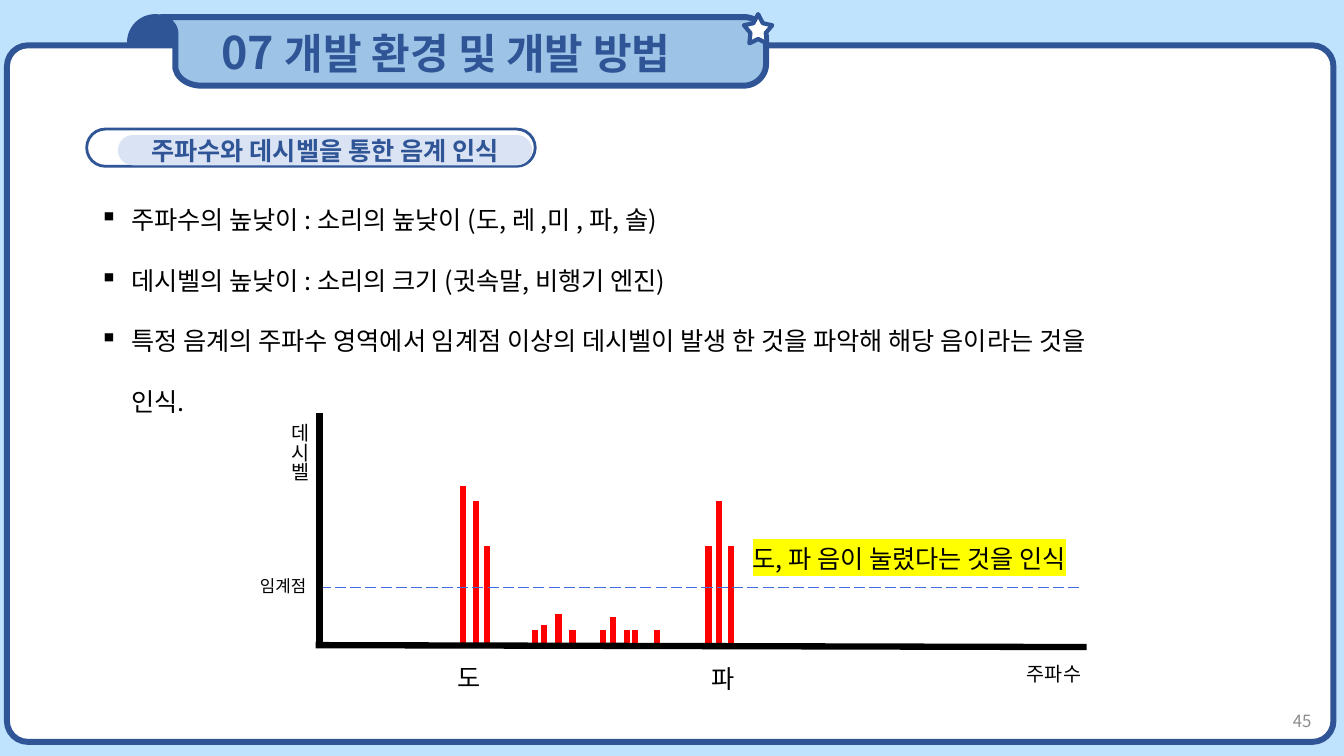
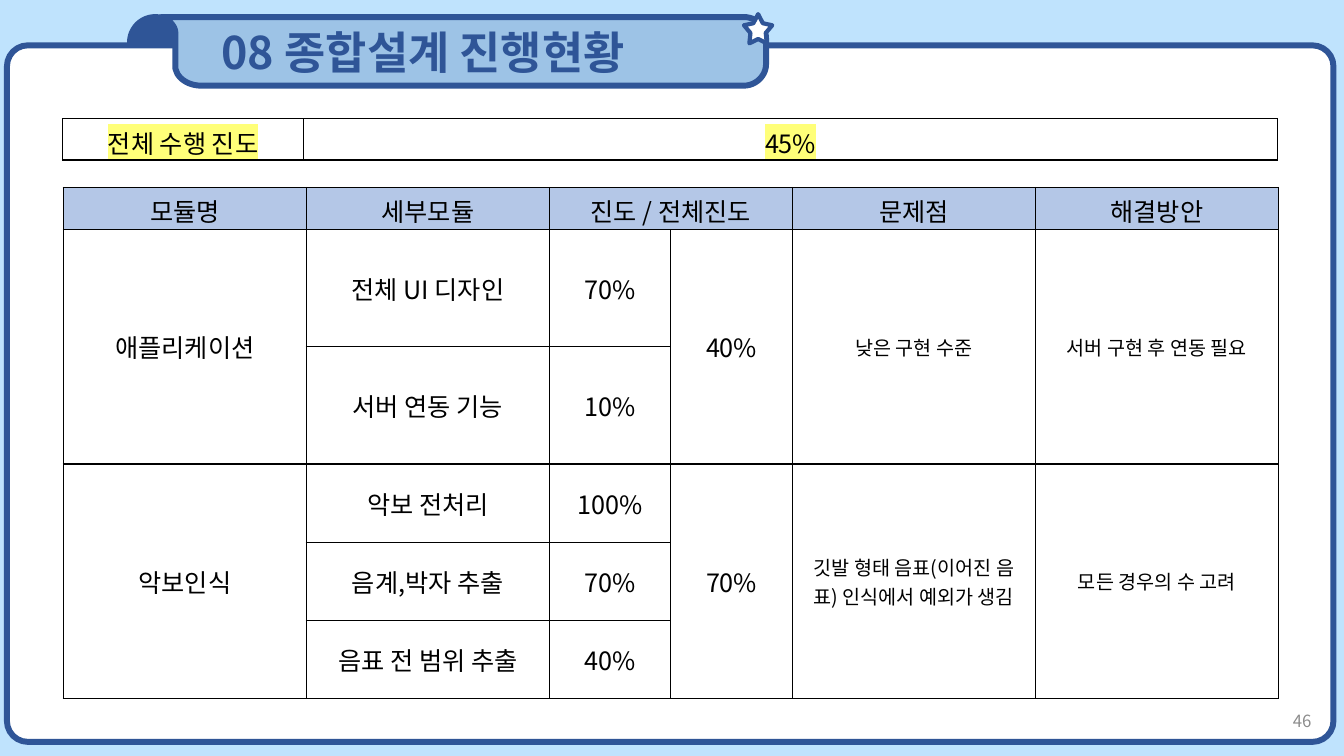
from dataclasses import dataclass
from typing import NamedTuple

from lxml.etree import SubElement
from pptx import Presentation
from pptx.dml.color import RGBColor
from pptx.enum.dml import MSO_LINE_DASH_STYLE as Dash
from pptx.enum.shapes import MSO_CONNECTOR as Connector, MSO_SHAPE as Preset
from pptx.enum.text import MSO_ANCHOR as Anchor, MSO_AUTO_SIZE as AutoSize, PP_ALIGN as Align
from pptx.oxml.ns import qn
from pptx.util import Pt

FONT = "Noto Sans CJK KR"
SKY, NAVY, RIBBON, PALE, HEADER = "BFE3FD", "2F5597", "9DC3E6", "DAE3F3", "B4C7E7"
WHITE, BLACK, RED, BLUE, GREY = "FFFFFF", "000000", "FF0000", "406AE2", "8C8C8C"
YELLOW, SOFT_YELLOW = "FFFF00", "FFFF79"
FRAME_LINE = 4.25
BAR_WIDTH = 4.5
BASELINE = 459.4


class Box(NamedTuple):
    left: float
    top: float
    width: float
    height: float


class Bar(NamedTuple):
    x: float
    height: float


class Merge(NamedTuple):
    row: int
    column: int
    last_row: int
    last_column: int


@dataclass(frozen=True)
class Style:
    size: float = 18
    color: str = BLACK
    bold: bool = False
    highlight: str = ""


@dataclass(frozen=True)
class Label:
    text: str
    box: Box
    style: Style = Style()
    vertical: bool = False


BODY = Style()
SMALL = Style(14)
HEADING = Style(32, NAVY, True)

BULLETS = (
    "주파수의 높낮이 : 소리의 높낮이 (도, 레 ,미 , 파, 솔)",
    "데시벨의 높낮이 : 소리의 크기 (귓속말, 비행기 엔진)",
    "특정 음계의 주파수 영역에서 임계점 이상의 데시벨이 발생 한 것을 파악해 해당 음이라는 것을 인식.",
)
SPECTRUM = (
    Bar(330.5, 112.3), Bar(339.8, 101.5), Bar(347.8, 69.1),
    Bar(382.3, 9.4), Bar(388.8, 13), Bar(398.9, 20.9), Bar(409, 9.4),
    Bar(430.6, 9.4), Bar(437.8, 18.7), Bar(447.8, 9.4), Bar(453.6, 9.4), Bar(469.4, 9.4),
    Bar(506.2, 69.1), Bar(513.4, 101.5), Bar(522, 69.1),
)
GRAPH_LABELS = (
    Label("주파수", Box(726.5, 469.4, 90.7, 24.5), SMALL),
    Label("데시벨", Box(194.4, 295.2, 31.7, 83.5), SMALL, vertical=True),
    Label("도", Box(319.7, 469.4, 56.2, 28.8)),
    Label("파", Box(501.1, 470.2, 56.2, 28.8)),
    Label("임계점", Box(178.6, 407.5, 62.6, 21.6), Style(12)),
    Label("도, 파 음이 눌렸다는 것을 인식", Box(530.6, 384.5, 282.2, 28.8),
          Style(highlight=YELLOW)),
)
PROGRESS = (
    ("모듈명", "세부모듈", "진도 / 전체진도", "", "문제점", "해결방안"),
    ("애플리케이션", "전체 UI 디자인", "70%", "40%", "낮은 구현 수준", "서버 구현 후 연동 필요"),
    ("", "서버 연동 기능", "10%", "", "", ""),
    ("악보인식", "악보 전처리", "100%", "70%",
     "깃발 형태 음표(이어진 음표) 인식에서 예외가 생김", "모든 경우의 수 고려"),
    ("", "음계,박자 추출", "70%", "", "", ""),
    ("", "음표 전 범위 추출", "40%", "", "", ""),
)
MODULE_ROWS = ((1, 2), (3, 5))
MERGES = [Merge(0, 2, 0, 3)] + [
    Merge(first, column, last, column) for first, last in MODULE_ROWS for column in (0, 3, 4, 5)
]


def rgb(color: str) -> RGBColor:
    return RGBColor.from_string(color)


def apply(target, formats: dict) -> None:
    for attribute, value in formats.items():
        setattr(target, attribute, value)


def write(paragraph, text: str, style: Style) -> None:
    """Append a run with the same font for Latin and Korean letters."""
    run = paragraph.add_run()
    run.text = text
    apply(run.font, {"size": Pt(style.size), "bold": style.bold, "name": FONT})
    run.font.color.rgb = rgb(style.color)
    properties = run.font._element
    latin = properties.find(qn("a:latin"))
    east_asian = SubElement(properties, qn("a:ea"), typeface=FONT)
    latin.addnext(east_asian)
    if style.highlight:
        highlight = SubElement(properties, qn("a:highlight"))
        SubElement(highlight, qn("a:srgbClr"), val=style.highlight)
        latin.addprevious(highlight)


def indent(paragraph, margin: float, first_line: float = 0) -> None:
    properties = paragraph._p.get_or_add_pPr()
    properties.set("marL", str(Pt(margin)))
    properties.set("indent", str(Pt(first_line)))


def paint(shape, fill: str, line: str = "", width: float = 0) -> None:
    shape.shadow.inherit = False
    shape.fill.solid()
    shape.fill.fore_color.rgb = rgb(fill)
    if line:
        shape.line.color.rgb = rgb(line)
        shape.line.width = Pt(width)
    else:
        shape.line.fill.background()


def add_preset(slide, preset, box: Box, fill: str, line: str = "", width: float = 0,
               adjustments: tuple = ()):
    shape = slide.shapes.add_shape(preset, *map(Pt, box))
    for index, value in enumerate(adjustments):
        shape.adjustments[index] = value
    paint(shape, fill, line, width)
    return shape


def add_line(slide, start: tuple, end: tuple, color: str, width: float):
    line = slide.shapes.add_connector(Connector.STRAIGHT, *map(Pt, (*start, *end)))
    line.line.color.rgb = rgb(color)
    line.line.width = Pt(width)
    SubElement(line._element.spPr, qn("a:effectLst"))
    return line


def add_text_frame(slide, box: Box, **formats):
    frame = slide.shapes.add_textbox(*map(Pt, box)).text_frame
    apply(frame, {"word_wrap": True, **formats})
    return frame


def add_label(slide, label: Label) -> None:
    frame = add_text_frame(slide, label.box, auto_size=AutoSize.SHAPE_TO_FIT_TEXT)
    if label.vertical:
        frame._txBody.bodyPr.set("vert", "eaVert")
    write(frame.paragraphs[0], label.text, label.style)


def curve(start: tuple, control1: tuple, control2: tuple, end: tuple, steps: int = 12) -> list:
    """Points along a cubic curve."""
    points = []
    for step in range(steps + 1):
        t = step / steps
        weights = ((1 - t) ** 3, 3 * t * (1 - t) ** 2, 3 * t ** 2 * (1 - t), t ** 3)
        points.append(tuple(
            sum(weight * value for weight, value in zip(weights, axis))
            for axis in zip(start, control1, control2, end)
        ))
    return points


def add_ribbon(slide):
    left, top, right, bottom = 115.2, 12.2, 547.2, 61.2
    outline = [
        *curve((531.4, top), (540, top), (right, 18.7), (right, 27.4)),
        *curve((right, 46.1), (right, 54), (540, bottom), (531.4, bottom)),
        *curve((144, bottom), (136, bottom), (129.6, 57.6), (126.7, 52.6)),
        (125.3, 49),
        *curve((125.3, 23.8), (125.3, 19.4), (122.4, 15.8), (118.1, 13.7)),
        (left, 13),
    ]
    builder = slide.shapes.build_freeform(Pt(left), Pt(top))
    builder.add_line_segments([(Pt(x), Pt(y)) for x, y in outline], close=True)
    ribbon = builder.convert_to_shape()
    paint(ribbon, RIBBON, NAVY, FRAME_LINE)
    return ribbon


def add_framed_slide(deck, number: int, title: tuple):
    """A slide with the sky background, page frame, title ribbon and page number."""
    slide = deck.slides.add_slide(deck.slide_layouts[6])
    slide.background.fill.solid()
    slide.background.fill.fore_color.rgb = rgb(SKY)
    add_preset(slide, Preset.ROUND_2_SAME_RECTANGLE, Box(92.9, 12.2, 36, 70.6),
               NAVY, NAVY, FRAME_LINE, (0.5, 0))
    add_preset(slide, Preset.ROUNDED_RECTANGLE, Box(5, 32.4, 947.5, 497.5),
               WHITE, NAVY, FRAME_LINE, (0.03,))
    frame = add_ribbon(slide).text_frame
    apply(frame, {"vertical_anchor": Anchor.MIDDLE, "word_wrap": True})
    heading = frame.paragraphs[0]
    heading.alignment = Align.LEFT
    indent(heading, 36)
    for text, style in title:
        write(heading, text, style)
    add_preset(slide, Preset.STAR_5_POINT, Box(531.4, 10.1, 20.2, 20.9), WHITE, NAVY, 3, (0.27,))

    footer = add_text_frame(slide, Box(727.9, 500.4, 216, 28.8), vertical_anchor=Anchor.MIDDLE)
    footer.paragraphs[0].alignment = Align.RIGHT
    write(footer.paragraphs[0], str(number), Style(12, GREY))
    return slide


def add_section_pill(slide, text: str) -> None:
    add_preset(slide, Preset.ROUNDED_RECTANGLE, Box(61.9, 92.2, 320.4, 26.6), WHITE, NAVY, 2, (0.5,))
    pill = add_preset(slide, Preset.ROUNDED_RECTANGLE, Box(84.2, 96.5, 295.9, 21.6), PALE,
                      adjustments=(0.5,))
    pill.text_frame.vertical_anchor = Anchor.MIDDLE
    pill.text_frame.paragraphs[0].alignment = Align.CENTER
    write(pill.text_frame.paragraphs[0], text, Style(18, NAVY, True))


def add_bullets(slide, box: Box, lines: tuple) -> None:
    frame = add_text_frame(slide, box, auto_size=AutoSize.SHAPE_TO_FIT_TEXT)
    for index, text in enumerate(lines):
        paragraph = frame.add_paragraph() if index else frame.paragraphs[0]
        paragraph.line_spacing = 2.0
        indent(paragraph, 22.5, -22.5)
        SubElement(paragraph._p.pPr, qn("a:buChar"), char="▪")
        write(paragraph, text, BODY)


def add_spectrum(slide) -> None:
    for bar in SPECTRUM:
        add_line(slide, (bar.x, BASELINE), (bar.x, BASELINE - bar.height), RED, BAR_WIDTH)
    threshold = add_line(slide, (228.2, 419.8), (771.8, 419.8), BLUE, 1)
    threshold.line.dash_style = Dash.LONG_DASH
    add_line(slide, (228.2, 462.2), (228.2, 295.2), BLACK, BAR_WIDTH)
    add_line(slide, (225.4, 460.8), (776.2, 462.2), BLACK, BAR_WIDTH)
    for label in GRAPH_LABELS:
        add_label(slide, label)


def add_borders(cell) -> None:
    properties = cell._tc.get_or_add_tcPr()
    for index, side in enumerate(("a:lnL", "a:lnR", "a:lnT", "a:lnB")):
        border = SubElement(properties, qn(side), w=str(Pt(1)))
        fill = SubElement(border, qn("a:solidFill"))
        SubElement(fill, qn("a:srgbClr"), val=BLACK)
        properties.insert(index, border)


def add_grid(slide, left: float, top: float, widths: list, heights: list, rows: tuple,
             style_at, header: str = "", merges=()) -> None:
    """A bordered table; style_at(row, column) gives the text style of a cell."""
    box = Box(left, top, sum(widths), sum(heights))
    table = slide.shapes.add_table(len(rows), len(widths), *map(Pt, box)).table
    apply(table, {"first_row": False, "horz_banding": False})
    for column, width in zip(table.columns, widths):
        column.width = Pt(width)
    for r, (texts, height) in enumerate(zip(rows, heights)):
        table.rows[r].height = Pt(height)
        for c, text in enumerate(texts):
            cell = table.cell(r, c)
            cell.vertical_anchor = Anchor.MIDDLE
            if header and r == 0:
                cell.fill.solid()
                cell.fill.fore_color.rgb = rgb(header)
            else:
                cell.fill.background()
            add_borders(cell)
            if text:
                paragraph = cell.text_frame.paragraphs[0]
                paragraph.alignment = Align.CENTER
                write(paragraph, text, style_at(r, c))
    for merge in merges:
        table.cell(merge.row, merge.column).merge(table.cell(merge.last_row, merge.last_column))


def main() -> None:
    deck = Presentation()
    apply(deck, {"slide_width": Pt(960), "slide_height": Pt(540)})

    method = add_framed_slide(
        deck, 45, (("07 ", HEADING), ("개발 환경 및 개발 방법", Style(30, NAVY, True))))
    add_section_pill(method, "주파수와 데시벨을 통한 음계 인식")
    add_bullets(method, Box(64.1, 121, 753.8, 131.8), BULLETS)
    add_spectrum(method)

    status = add_framed_slide(deck, 46, (("08 종합설계 진행현황", HEADING),))
    add_grid(status, 45.2, 133.9, [173.6, 173.6, 86.8, 86.8, 173.6, 173.6],
             [30.2] + [83.7] * 2 + [55.8] * 3, PROGRESS,
             lambda row, column: SMALL if row and column > 3 else BODY, HEADER, MERGES)
    add_grid(status, 44.6, 84.8, [172.4, 695.5], [29.5], (("전체 수행 진도", "45%"),),
             lambda row, column: Style(highlight=SOFT_YELLOW))

    deck.save("out.pptx")


if __name__ == "__main__":
    main()
